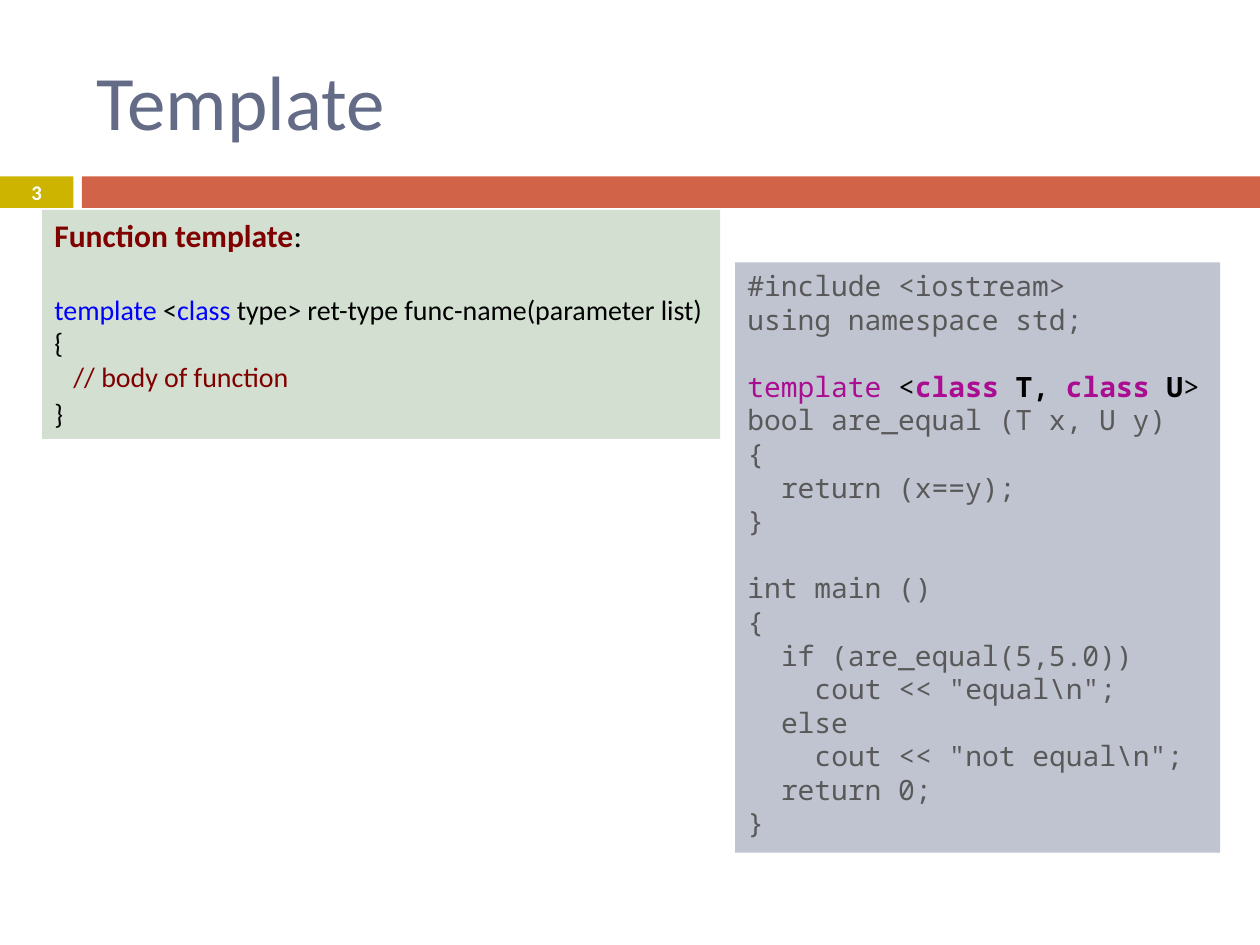
import pptx
import pptx.util
import pptx.dml.color
import pptx.enum.shapes
import pptx.enum.text

COLORS = {
    "gold": "CCB400", "red": "D16349", "slate": "646B86", "white": "FFFFFF",
    "green": "D2DFD1", "lavender": "C0C3D0", "maroon": "800000",
    "black": "000000", "blue": "0000FF", "gray": "595959", "purple": "AA0D91",
}
COLUMNS, ROWS = 120, 90
CODE_LINE = 19.2
CODE_INDENT = 19.2


def write(paragraph, text, font="Calibri", size=16, color="black", bold=False):
    """Append one formatted run to a paragraph."""
    run = paragraph.add_run()
    run.text = text
    run.font.name = font
    run.font.size = pptx.util.Pt(size)
    run.font.bold = bold
    run.font.color.rgb = pptx.dml.color.RGBColor.from_string(COLORS[color])


class SlideBuilder:
    """Hold the style and the current slide, and add elements on a grid."""

    def __init__(self, presentation):
        self.cell_width = presentation.slide_width / COLUMNS
        self.cell_height = presentation.slide_height / ROWS
        self.slide = presentation.slides.add_slide(presentation.slide_layouts[5])

    def area(self, column, row, columns, rows):
        """Turn grid units into slide lengths."""
        return (round(column * self.cell_width), round(row * self.cell_height),
                round(columns * self.cell_width), round(rows * self.cell_height))

    def title(self, text, *cells):
        """Fill and place the title placeholder."""
        shape = self.slide.shapes.title
        shape.left, shape.top, shape.width, shape.height = self.area(*cells)
        frame = shape.text_frame
        frame.vertical_anchor = pptx.enum.text.MSO_ANCHOR.MIDDLE
        paragraph = frame.paragraphs[0]
        paragraph.alignment = pptx.enum.text.PP_ALIGN.LEFT
        write(paragraph, text, size=44, color="slate")

    def block(self, fill, *cells):
        """Add a plain filled rectangle."""
        shape = self.slide.shapes.add_shape(
            pptx.enum.shapes.MSO_SHAPE.RECTANGLE, *self.area(*cells))
        shape.shadow.inherit = False
        shape.fill.solid()
        shape.fill.fore_color.rgb = pptx.dml.color.RGBColor.from_string(COLORS[fill])
        shape.line.fill.background()
        return shape

    def label(self, text, *cells, **style):
        """Add a centred one-line text box."""
        frame = self.slide.shapes.add_textbox(*self.area(*cells)).text_frame
        frame.word_wrap = True
        frame.vertical_anchor = pptx.enum.text.MSO_ANCHOR.MIDDLE
        frame.paragraphs[0].alignment = pptx.enum.text.PP_ALIGN.CENTER
        write(frame.paragraphs[0], text, **style)

    def panel(self, fill, lines, *cells, line_height=None, **style):
        """Add a filled box of lines given as (indent, space before, runs)."""
        frame = self.block(fill, *cells).text_frame
        frame.word_wrap = False
        frame.vertical_anchor = pptx.enum.text.MSO_ANCHOR.TOP
        for number, (indent, space, runs) in enumerate(lines):
            paragraph = frame.add_paragraph() if number else frame.paragraphs[0]
            paragraph.alignment = pptx.enum.text.PP_ALIGN.LEFT
            paragraph.space_before = pptx.util.Pt(space)
            if line_height:
                paragraph.line_spacing = pptx.util.Pt(line_height)
            if indent:
                properties = paragraph._p.get_or_add_pPr()
                properties.set("marL", str(pptx.util.Pt(indent)))
                properties.set("indent", "0")
            for text, changes in runs:
                write(paragraph, text, **{**style, **changes})


def code(text, level=0, gap=0):
    """Describe one plain line of code."""
    return level * CODE_INDENT, gap * CODE_LINE, [(text, {})]


KEYWORD = {"color": "blue"}
PURPLE = {"color": "purple"}
BLACK = {"color": "black"}
BOLD = {"bold": True}

SYNTAX = [
    (0, 0, [("Function template", {"size": 18, "color": "maroon", **BOLD}),
            (":", {"size": 18})]),
    (0, 22, [("template", KEYWORD), (" <", {}), ("class", KEYWORD),
             (" type> ret-type func-name(parameter list)", {})]),
    (0, 0, [("{", {})]),
    (10.9, 0, [("// body of function", {"color": "maroon"})]),
    (0, 2, [("}", {})]),
]

EXAMPLE = [
    code("#include <iostream>"),
    code("using namespace std;"),
    (0, CODE_LINE, [("template", PURPLE), (" <", BLACK),
                    ("class", {**PURPLE, **BOLD}), (" T, ", {**BLACK, **BOLD}),
                    ("class", {**PURPLE, **BOLD}), (" U", {**BLACK, **BOLD}),
                    (">", BLACK)]),
    code("bool are_equal (T x, U y)"),
    code("{"),
    code("return (x==y);", 1),
    code("}"),
    code("int main ()", gap=1),
    code("{"),
    code("if (are_equal(5,5.0))", 1),
    code('cout << "equal\\n";', 2),
    code("else", 1),
    code('cout << "not equal\\n";', 2),
    code("return 0;", 1),
    code("}"),
]

presentation = pptx.Presentation()
presentation.slide_width = pptx.util.Inches(10)
presentation.slide_height = pptx.util.Inches(7.5)

builder = SlideBuilder(presentation)
builder.block("gold", 0, 16.8, 7, 3)
builder.block("red", 7.8, 16.8, 112.2, 3)
builder.title("Template", 8, 3, 107, 13)
builder.label("3", 0, 16.7, 7, 3.2, size=11.9, color="white", bold=True)
builder.panel("green", SYNTAX, 4, 20, 64.6, 21.8)
builder.panel("lavender", EXAMPLE, 70, 25, 46.2, 56.2,
              line_height=CODE_LINE, font="Noto Sans Mono", color="gray")

presentation.save("out.pptx")
